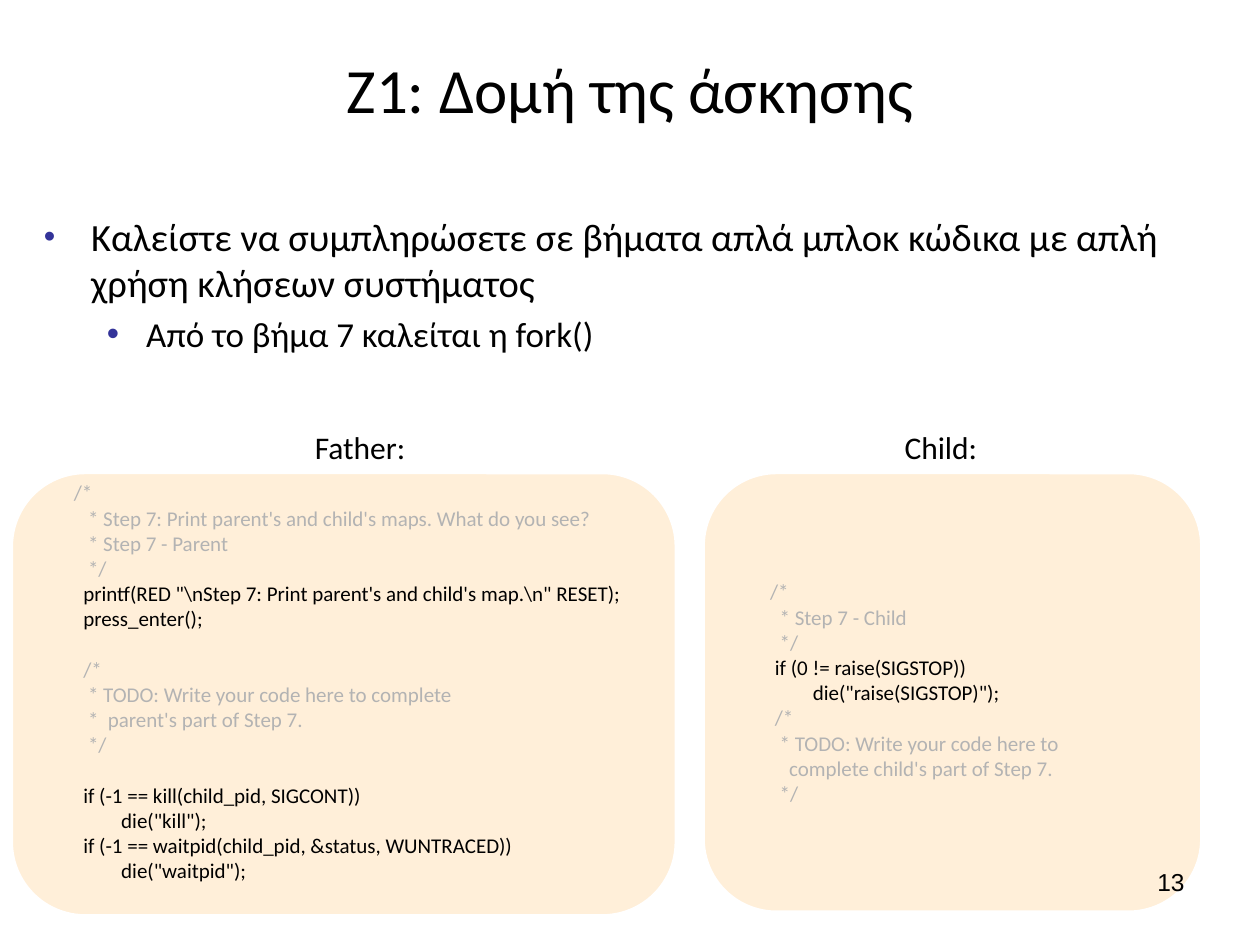
from lxml import etree
from pptx import Presentation
from pptx.dml.color import RGBColor
from pptx.enum import shapes, text
from pptx.oxml import ns
from pptx.util import Pt

COLORS = {"text": "000000", "comment": "B3B3B3", "panel": "FFEFD9",
          "white": "FFFFFF", "bullet": "333399"}
SPACE = 2.71  # width of one code column at 12 pt
LINE = 14.4   # height of one code line

# Code lines: (columns of indent, colour, text, blank lines before)
FATHER = [
    (6, "comment", "/*", 0),
    (9, "comment", "* Step 7: Print parent's and child's maps. What do you see?", 0),
    (9, "comment", "* Step 7 - Parent", 0),
    (9, "comment", "*/", 0),
    (8, "text", r'printf(RED "\nStep 7: Print parent' r"'s and child's map.\n" '" RESET);', 0),
    (8, "text", "press_enter();", 0),
    (8, "comment", "/*", 1),
    (9, "comment", "* TODO: Write your code here to complete", 0),
    (9, "comment", "*  parent's part of Step 7.", 0),
    (9, "comment", "*/", 0),
    (8, "text", "if (-1 == kill(child_pid, SIGCONT))", 1),
    (16, "text", 'die("kill");', 0),
    (8, "text", "if (-1 == waitpid(child_pid, &status, WUNTRACED))", 0),
    (16, "text", 'die("waitpid");', 0),
]
# The long printf line holds a literal backslash-n twice
FATHER[4] = (8, "text", "printf(RED \"\\nStep 7: Print parent's and child's map.\\n\" RESET);", 0)
CHILD = [
    (7, "comment", "/*", 0),
    (9, "comment", "* Step 7 - Child", 0),
    (9, "comment", "*/", 0),
    (8, "text", "if (0 != raise(SIGSTOP))", 0),
    (16, "text", 'die("raise(SIGSTOP)");', 0),
    (8, "comment", "/*", 0),
    (9, "comment", "* TODO: Write your code here to", 0),
    (11, "comment", "complete child's part of Step 7.", 0),
    (9, "comment", "*/", 0),
]
FATHER_BOX = (6.5, 270, 380, 253.4)
CHILD_BOX = (401.8, 270, 285, 251.3)


def rgb(name):
    return RGBColor.from_string(COLORS[name])


def set_attrs(obj, **values):
    for name, value in values.items():
        setattr(obj, name, value)


def write(p, content, size, color="text", font="Calibri", **para):
    set_attrs(p, **para)
    r = p.add_run()
    r.text = content
    set_attrs(r.font, size=Pt(size), name=font)
    r.font.color.rgb = rgb(color)


def indent(p, left, first=0):
    pPr = p._p.get_or_add_pPr()
    pPr.set("marL", str(Pt(left)))
    pPr.set("indent", str(Pt(first)))
    return pPr


def add_text_box(s, box):
    tf = s.shapes.add_textbox(*map(Pt, box)).text_frame
    tf.word_wrap = True
    return tf


def add_filled(s, kind, box, fill):
    sp = s.shapes.add_shape(kind, *map(Pt, box))
    sp.shadow.inherit = False
    sp.fill.solid()
    sp.fill.fore_color.rgb = rgb(fill)
    sp.line.fill.background()
    return sp


def add_title(s, box):
    sp = s.shapes.title
    set_attrs(sp, **dict(zip(("left", "top", "width", "height"), map(Pt, box))))
    tf = sp.text_frame
    tf.vertical_anchor = text.MSO_ANCHOR.MIDDLE
    write(tf.paragraphs[0], "Ζ1: Δομή της άσκησης", 36, alignment=text.PP_ALIGN.CENTER)


def add_bullets(s, box):
    tf = add_text_box(s, box)
    items = [
        ("Καλείστε να συμπληρώσετε σε βήματα απλά μπλοκ κώδικα με απλή χρήση κλήσεων συστήματος",
         22, 0, 27, -27, 85, 0),
        ("Από το βήμα 7 καλείται η fork()", 20, 1, 58.5, -22.5, 100, 4),
    ]
    for i, (content, size, level, left, first, bullet_size, before) in enumerate(items):
        p = tf.add_paragraph() if i else tf.paragraphs[0]
        write(p, content, size, level=level, space_before=Pt(before))
        pPr = indent(p, left, first)
        color = etree.SubElement(pPr, ns.qn("a:buClr"))
        etree.SubElement(color, ns.qn("a:srgbClr"), val=COLORS["bullet"])
        etree.SubElement(pPr, ns.qn("a:buSzPct"), val=str(bullet_size * 1000))
        etree.SubElement(pPr, ns.qn("a:buFont"), typeface="Arial")
        etree.SubElement(pPr, ns.qn("a:buChar"), char="•")


def add_code_panel(s, box, lines, top=3.6, bottom=3.6):
    sp = add_filled(s, shapes.MSO_SHAPE.ROUNDED_RECTANGLE, box, "panel")
    sp.line.color.rgb = rgb("white")
    sp.line.width = Pt(2)
    tf = sp.text_frame
    set_attrs(tf, word_wrap=True, vertical_anchor=text.MSO_ANCHOR.MIDDLE,
              margin_top=Pt(top), margin_bottom=Pt(bottom))
    for i, (columns, color, content, blank) in enumerate(lines):
        p = tf.add_paragraph() if i else tf.paragraphs[0]
        write(p, content, 12, color, alignment=text.PP_ALIGN.LEFT,
              space_before=Pt(blank * LINE))
        indent(p, columns * SPACE)


def add_label(s, box, content):
    tf = add_filled(s, shapes.MSO_SHAPE.RECTANGLE, box, "white").text_frame
    set_attrs(tf, word_wrap=True, vertical_anchor=text.MSO_ANCHOR.TOP)
    write(tf.paragraphs[0], content, 18, alignment=text.PP_ALIGN.LEFT)


def add_page_number(s, box):
    p = add_text_box(s, box).paragraphs[0]
    write(p, "13", 14, font="Arial", alignment=text.PP_ALIGN.RIGHT)


def main():
    prs = Presentation()
    set_attrs(prs, slide_width=Pt(720), slide_height=Pt(540))
    s = prs.slides.add_slide(prs.slide_layouts[5])
    # Title and bullets
    add_title(s, (36, 21.6, 648, 57.6))
    add_bullets(s, (18, 118.1, 684, 400.3))
    # Code panels with their labels
    add_code_panel(s, FATHER_BOX, FATHER, top=0, bottom=LINE)
    add_code_panel(s, CHILD_BOX, CHILD)
    add_label(s, (172.8, 241.2, 79.2, 28.8), "Father:")
    add_label(s, (509.8, 241.2, 62.6, 28.8), "Child:")
    # Page number
    add_page_number(s, (516.2, 491.8, 167.8, 37.4))
    prs.save("out.pptx")


if __name__ == "__main__":
    main()
